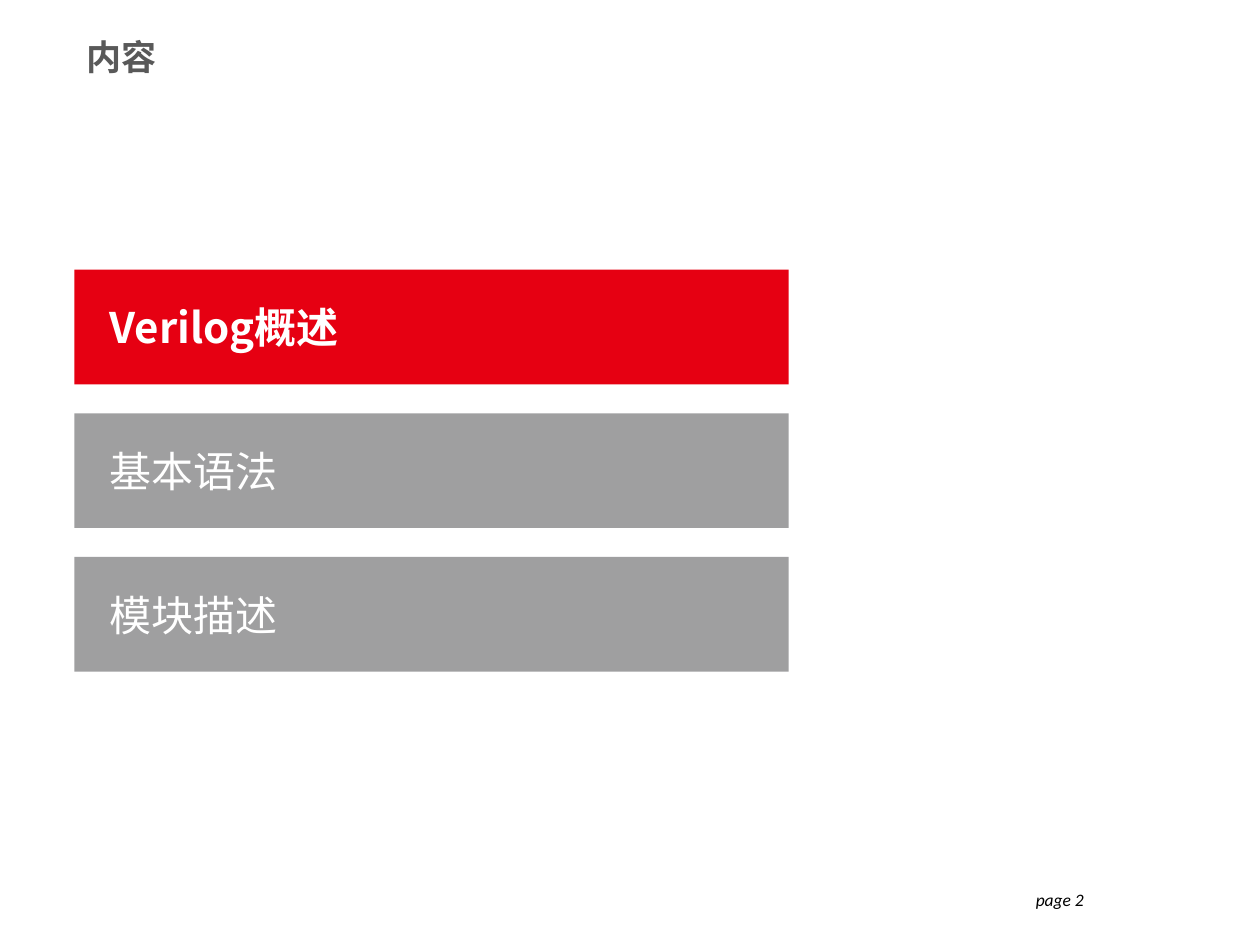
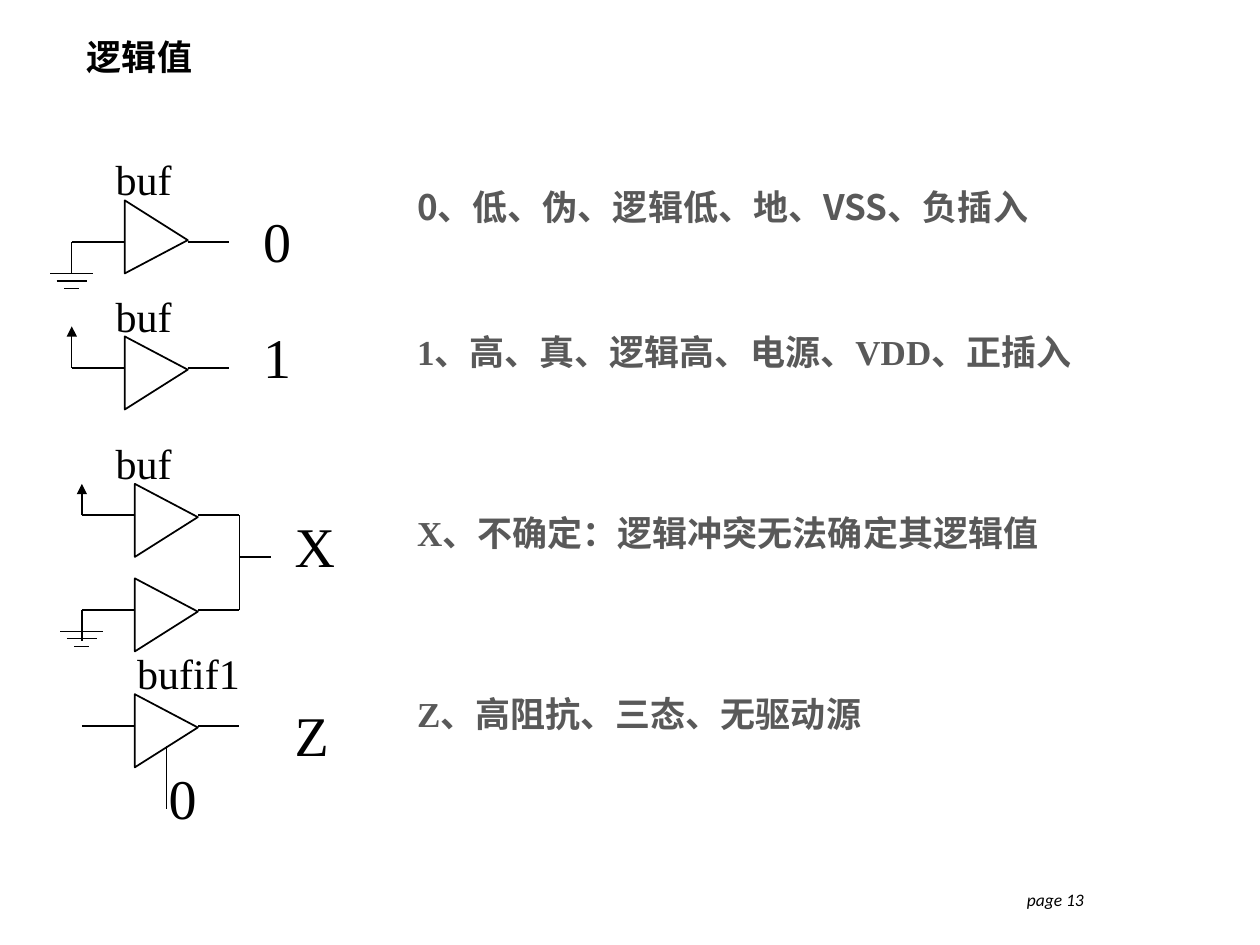
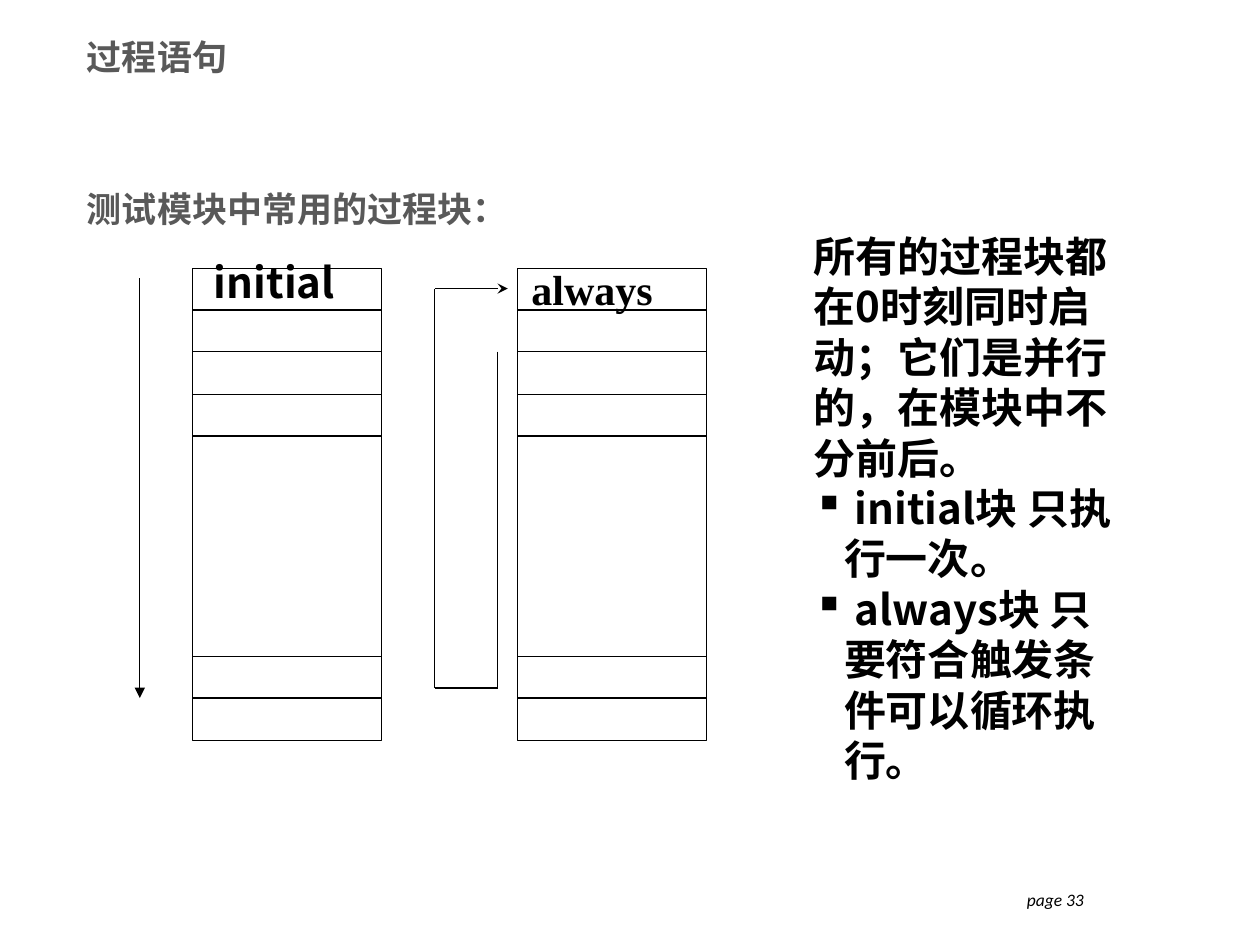
from lxml.etree import SubElement
from pptx import Presentation
from pptx.dml.color import RGBColor
from pptx.enum.shapes import MSO_CONNECTOR, MSO_SHAPE
from pptx.enum.text import MSO_ANCHOR, MSO_AUTO_SIZE, PP_ALIGN
from pptx.oxml.ns import qn
from pptx.util import Inches, Pt

SANS, SERIF = "Noto Sans CJK SC", "Times New Roman"
BLACK, DARK, GRAY, RED, WHITE = "000000", "595959", "9F9FA0", "E60012", "FFFFFF"


def write(tf, text, size=20, color=BLACK, font=SANS, bold=False, italic=False,
          align=PP_ALIGN.LEFT, before=0, spacing=1.0, bullet=None, hang=0):
    """Fill the empty first paragraph of tf, or add a new one."""
    tf.word_wrap = True
    tf.auto_size = MSO_AUTO_SIZE.NONE
    p = tf.paragraphs[0] if not tf.text else tf.add_paragraph()
    pPr = p._p.get_or_add_pPr()
    pPr.set("marL", str(Inches(hang)))
    pPr.set("indent", str(-Inches(hang)))
    if bullet:
        SubElement(pPr, qn("a:buChar"), char=bullet)
    else:
        SubElement(pPr, qn("a:buNone"))
    p.alignment = align
    p.space_before = Pt(before)
    p.line_spacing = spacing
    r = p.add_run()
    r.text = text
    r.font.size = Pt(size)
    r.font.bold = bold
    r.font.italic = italic
    r.font.color.rgb = RGBColor.from_string(color)
    r.font.name = font
    SubElement(r._r.get_or_add_rPr(), qn("a:ea"), typeface=SANS)


def line(s, x1, y1, x2, y2, width=0.75, tail=None):
    c = s.shapes.add_connector(MSO_CONNECTOR.STRAIGHT,
                               Inches(x1), Inches(y1), Inches(x2), Inches(y2))
    c.line.width = Pt(width)
    c.line.color.rgb = RGBColor.from_string(BLACK)
    if tail:
        SubElement(c.line._get_or_add_ln(), qn("a:tailEnd"), type=tail)
    SubElement(c._element.spPr, qn("a:effectLst"))


prs = Presentation()
prs.slide_width, prs.slide_height = Inches(10), Inches(7.5)

# Shared title and page number
slides = []
for layout, title, color, page in [(5, "内容", DARK, 2),
                                   (1, "逻辑值", BLACK, 13),
                                   (1, "过程语句", DARK, 33)]:
    s = prs.slides.add_slide(prs.slide_layouts[layout])
    sp = s.shapes.title
    sp.left, sp.top, sp.width, sp.height = map(Inches, (0.59, 0.21, 6.22, 0.47))
    sp.text_frame.vertical_anchor = MSO_ANCHOR.MIDDLE
    write(sp.text_frame, title, color=color, bold=True)
    footer = s.shapes.add_textbox(*map(Inches, (6.37, 7.01, 2.33, 0.52)))
    write(footer.text_frame, f"page {page}", size=10, font="Calibri",
          italic=True, align=PP_ALIGN.RIGHT)
    slides.append(s)
agenda, logic, process = slides

# Agenda bars
for i, (text, fill) in enumerate([("Verilog概述", RED), ("基本语法", GRAY), ("模块描述", GRAY)]):
    bar = agenda.shapes.add_shape(MSO_SHAPE.RECTANGLE, Inches(0.59), Inches(2.14 + 1.14 * i),
                                  Inches(5.67), Inches(0.91))
    bar.shadow.inherit = False
    bar.fill.solid()
    bar.fill.fore_color.rgb = RGBColor.from_string(fill)
    bar.line.fill.background()
    tf = bar.text_frame
    tf.margin_left, tf.margin_right = Inches(0.28), Inches(0.12)
    tf.margin_top = tf.margin_bottom = 0
    tf.vertical_anchor = MSO_ANCHOR.MIDDLE
    write(tf, text, size=24, color=WHITE, bold=fill == RED)

# Logic values: descriptions
body = logic.placeholders[1]
body.left, body.top, body.width, body.height = map(Inches, (3.21, 1.46, 6.12, 5.16))
for text, font, before in [("0、低、伪、逻辑低、地、VSS、负插入", SANS, 0),
                           ("1、高、真、逻辑高、电源、VDD、正插入", SERIF, 61),
                           ("X、不确定：逻辑冲突无法确定其逻辑值", SERIF, 82),
                           ("Z、高阻抗、三态、无驱动源", SERIF, 82)]:
    write(body.text_frame, text, color=DARK, font=font, bold=True, before=before,
          spacing=0.9, hang=0.38)

# Logic values: buffers with input and output wires
for x, y, rise, apex in [(0.57, 1.92, 0.29, 0.545), (0.57, 2.92, 0.21, 0.455),
                         (0.65, 4.09, 0.21, 0.455), (0.65, 4.84, 0.21, 0.455),
                         (0.65, 5.76, 0.21, 0.455)]:
    gate = logic.shapes.add_shape(MSO_SHAPE.ISOSCELES_TRIANGLE, Inches(x + 0.38),
                                  Inches(y - rise), Inches(0.58), Inches(0.5))
    gate.rotation = 90
    gate.adjustments[0] = apex
    gate.shadow.inherit = False
    gate.fill.background()
    gate.line.color.rgb = RGBColor.from_string(BLACK)
    gate.line.width = Pt(1)
    line(logic, x, y, x + 0.42, y, width=1)
    line(logic, x + 0.92, y, x + 1.25, y, width=1)

# Ground symbols
for x, y, stem_end, bar_top in [(0.57, 1.92, 2.17, 2.17), (0.65, 4.84, 5.09, 5.01)]:
    line(logic, x, y, x, stem_end)
    for i, half in enumerate([0.17, 0.12, 0.06]):
        bar_y = bar_top + 0.06 * i
        line(logic, x - half, bar_y, x + half, bar_y)

# Supply arrows, joined outputs and control wire
line(logic, 0.57, 2.92, 0.57, 2.59, tail="triangle")
line(logic, 0.65, 4.09, 0.65, 3.84, tail="triangle")
line(logic, 1.9, 4.09, 1.9, 4.84)
line(logic, 1.9, 4.42, 2.15, 4.42)
line(logic, 1.32, 5.92, 1.32, 6.42)

for text, x, y, size in [("0", 1.99, 1.59, 32), ("1", 1.99, 2.51, 32), ("X", 2.24, 4.01, 32),
                         ("Z", 2.24, 5.51, 32), ("0", 1.24, 6.01, 32),
                         ("buf", 0.82, 1.17, 24), ("buf", 0.82, 2.26, 24),
                         ("buf", 0.82, 3.42, 24), ("bufif1", 0.99, 5.09, 24)]:
    label = logic.shapes.add_textbox(Inches(x), Inches(y), Inches(1.08), Inches(size / 50))
    write(label.text_frame, text, size=size, font=SERIF)

# Procedural blocks
body = process.placeholders[1]
body.left, body.top, body.width, body.height = map(Inches, (0.59, 1.44, 8.66, 5.43))
write(body.text_frame, "测试模块中常用的过程块：", color=DARK, bold=True)

for x in (1.53, 4.11):
    block = process.shapes.add_shape(MSO_SHAPE.RECTANGLE, Inches(x), Inches(2.13),
                                     Inches(1.5), Inches(3.75))
    block.shadow.inherit = False
    block.fill.background()
    block.line.color.rgb = RGBColor.from_string(BLACK)
    block.line.width = Pt(0.75)
    for y in (2.46, 2.79, 3.13, 3.46, 5.21, 5.54):
        line(process, x, y, x + 1.5, y)

for text, font, x, y in [("initial", SANS, 1.6, 1.99), ("always", SERIF, 4.12, 2.04)]:
    label = process.shapes.add_textbox(Inches(x), Inches(y), Inches(1.4), Inches(0.5))
    write(label.text_frame, text, size=24, font=font, bold=True)

# Run-once arrow and repeat loop
line(process, 1.11, 2.21, 1.11, 5.54, tail="triangle")
line(process, 3.95, 2.79, 3.95, 5.46)
line(process, 3.95, 5.46, 3.45, 5.46)
line(process, 3.45, 5.46, 3.45, 2.29)
line(process, 3.45, 2.29, 4.03, 2.29, tail="stealth")

remarks = process.shapes.add_textbox(*map(Inches, (6.36, 1.78, 2.58, 4.1))).text_frame
write(remarks, "所有的过程块都在0时刻同时启动；它们是并行的，在模块中不分前后。", size=24, bold=True)
for text in (" initial块 只执行一次。", " always块 只要符合触发条件可以循环执行。"):
    write(remarks, text, size=24, bold=True, bullet="▪", hang=0.24)

prs.save("out.pptx")
